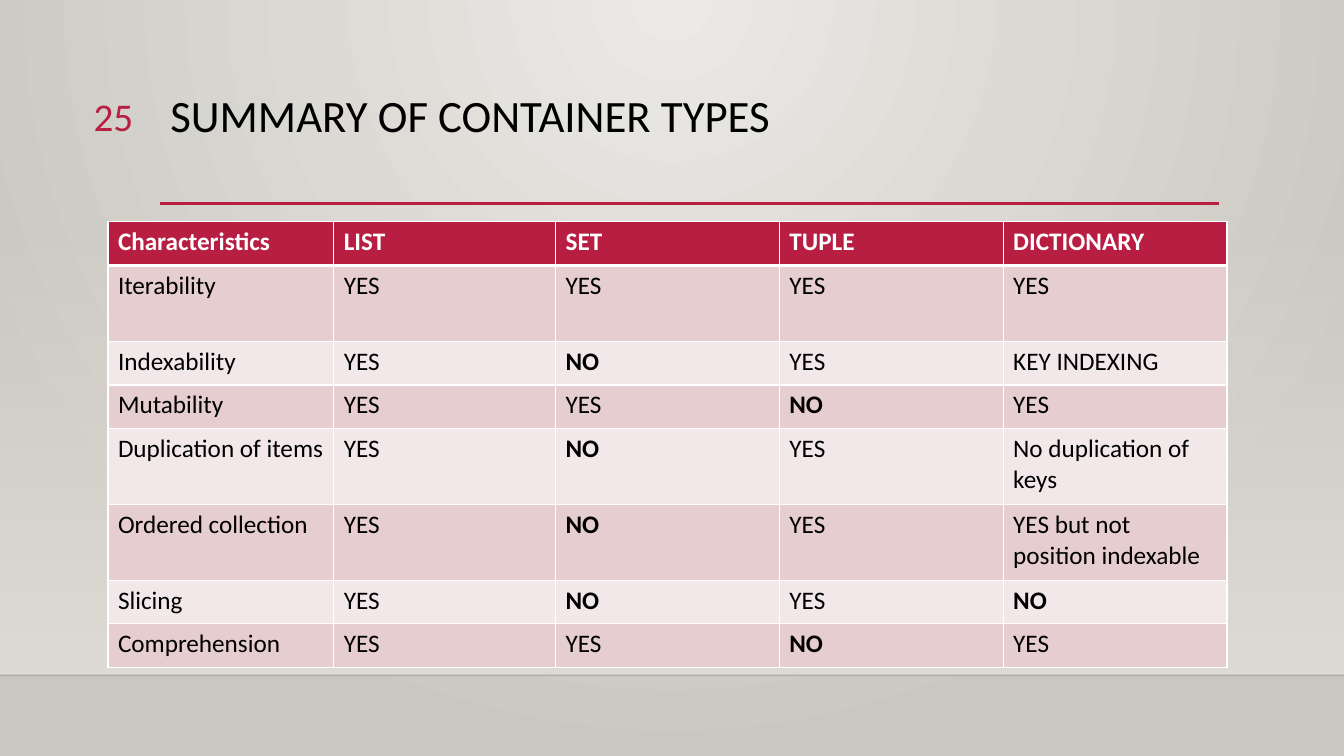
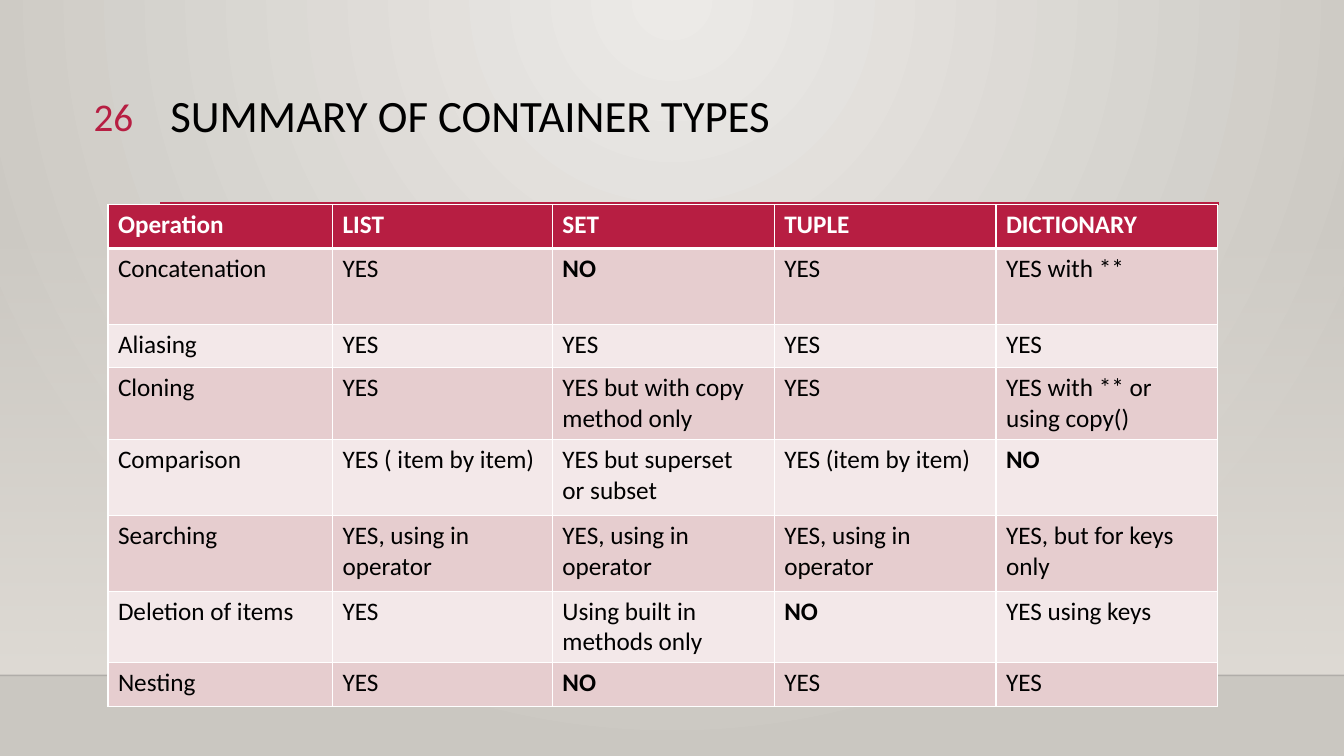
"""Builds two slides that sum up the container types in tables."""
import pptx
import pptx.util
import pptx.oxml
import pptx.oxml.ns
import pptx.dml.color
import pptx.enum.text
import pptx.enum.shapes
from dataclasses import dataclass

Cm, Pt = pptx.util.Cm, pptx.util.Pt
TEXT = pptx.enum.text
HEADS = ["LIST", "SET", "TUPLE", "DICTIONARY"]

SLIDES = [
    {
        "title": "SUMMARY OF CONTAINER TYPES", "number": 25,
        "top": 5.59, "widths": [5.69, 5.59, 5.64, 5.64, 5.64],
        "rows": [
            ["Characteristics", *HEADS],
            ["Iterability", "YES", "YES", "YES", "YES"],
            ["Indexability", "YES", "NO", "YES", "KEY INDEXING"],
            ["Mutability", "YES", "YES", "NO", "YES"],
            ["Duplication of items", "YES", "NO", "YES", "No duplication of keys"],
            ["Ordered collection", "YES", "NO", "YES", "YES but not position indexable"],
            ["Slicing", "YES", "NO", "YES", "NO"],
            ["Comprehension", "YES", "YES", "NO", "YES"],
        ],
    },
    {
        "title": "SUMMARY OF CONTAINER TYPES", "number": 26,
        "top": 5.16, "widths": [5.66, 5.54, 5.59, 5.59, 5.59],
        "rows": [
            ["Operation", *HEADS],
            ["Concatenation", "YES", "NO", "YES", "YES with **"],
            ["Aliasing", "YES", "YES", "YES", "YES"],
            ["Cloning", "YES", "YES but with copy method only", "YES",
             "YES with ** or using copy()"],
            ["Comparison", "YES ( item by item)", "YES but superset\nor subset",
             "YES (item by item)", "NO"],
            ["Searching", *["YES, using in operator"] * 3, "YES, but for keys only"],
            ["Deletion of items", "YES", "Using built in methods only", "NO",
             "YES using keys"],
            ["Nesting", "YES", "NO", "YES", "YES"],
        ],
    },
]


@dataclass(frozen=True)
class Theme:
    font: str = "Calibri"
    red: str = "B71E42"
    ink: str = "000000"
    white: str = "FFFFFF"
    edge: str = "000001"
    floor: str = "DFDBD5"
    glow: str = "ECEAE7"
    rim: str = "CAC7C1"
    bands: tuple = ("F3E8E9", "E6CDCF")
    title: int = 32
    number: int = 28
    cell: int = 18


LOOK = Theme()
WIDE, HIGH = Cm(33.87), Cm(19.05)
LEFT, TALL, LOW = Cm(2.72), Cm(1.91), Cm(1.1)
TALL_ROWS = {1, 4, 5}


def rgb(code):
    return pptx.dml.color.RGBColor.from_string(code)


def node(tag, body, attrs=""):
    space = pptx.oxml.ns.nsdecls("a")
    return pptx.oxml.parse_xml(f"<a:{tag} {space} {attrs}>{body}</a:{tag}>")


def apply(item, form):
    for name, value in form.items():
        setattr(item, name, value)


def style(part, size, color, bold=False):
    apply(part.font, {"name": LOOK.font, "size": Pt(size), "bold": bold})
    part.font.color.rgb = rgb(color)


def blend(fill, first, last, shade, clear=""):
    fill.gradient()
    old = fill._xPr.find(pptx.oxml.ns.qn("a:gradFill"))
    stops = (f'<a:gs pos="0"><a:srgbClr val="{first}">{clear}</a:srgbClr></a:gs>'
             f'<a:gs pos="100000"><a:srgbClr val="{last}"/></a:gs>')
    new = node("gradFill", f"<a:gsLst>{stops}</a:gsLst>{shade}", 'rotWithShape="1"')
    fill._xPr.replace(old, new)


def rule(slide, left, right, top, color, width):
    line = slide.shapes.add_connector(
        pptx.enum.shapes.MSO_CONNECTOR.STRAIGHT, left, top, right, top)
    line.line.color.rgb = rgb(color)
    line.line.width = Pt(width)
    line._element.spPr.append(node("effectLst", ""))
    return line


def dress(layout, slide):
    blend(layout.background.fill, LOOK.glow, LOOK.rim,
          '<a:path path="circle">'
          '<a:fillToRect l="43000" t="0" r="43000" b="100000"/></a:path>')
    floor = Cm(17.02)
    band = slide.shapes.add_shape(
        pptx.enum.shapes.MSO_SHAPE.RECTANGLE, 0, Cm(5.61), WIDE, floor - Cm(5.61))
    band.shadow.inherit = False
    band.line.fill.background()
    blend(band.fill, LOOK.floor, LOOK.floor, '<a:lin ang="5400000" scaled="0"/>',
          '<a:alpha val="0"/>')
    edge = rule(slide, 0, WIDE, floor, LOOK.edge, 1)
    tint = edge._element.xpath(".//a:ln//a:srgbClr")[0]
    tint.append(node("alpha", "", 'val="20000"'))
    bar = rule(slide, Cm(4.04), Cm(30.73), Cm(5.13), LOOK.red, 2.5)
    for pos, shape in enumerate((band, edge, bar)):
        shape._element.xpath(".//p:cNvPr")[0].set("id", str(50 + pos))
        layout.shapes._spTree.insert(2 + pos, shape._element)
    apply(layout.placeholders[0], {
        "left": Cm(4.04), "top": Cm(2.24), "width": Cm(26.67), "height": Cm(2.92)})


def label(shape, text, size, color, align, gap):
    frame = shape.text_frame
    frame.text = text
    apply(frame, {"word_wrap": True, "auto_size": TEXT.MSO_AUTO_SIZE.NONE,
                  "vertical_anchor": TEXT.MSO_ANCHOR.TOP})
    para = frame.paragraphs[0]
    apply(para, {"alignment": align, "line_spacing": gap})
    style(para.runs[0], size, color)


def frame_cell(cell, row):
    weights = {"L": 1, "R": 1, "T": 3 if row == 1 else 1, "B": 1 if row else 3}
    props = cell._tc.get_or_add_tcPr()
    paint = f'<a:solidFill><a:srgbClr val="{LOOK.white}"/></a:solidFill>'
    for pos, (side, weight) in enumerate(weights.items()):
        props.insert(pos, node(f"ln{side}", paint, f'w="{Pt(weight)}"'))


def fill_cell(cell, text, row):
    cell.text = text
    head = row == 0
    cell.fill.solid()
    cell.fill.fore_color.rgb = rgb(LOOK.red if head else LOOK.bands[row % 2])
    for para in cell.text_frame.paragraphs:
        style(para.runs[0], LOOK.cell, LOOK.white if head else LOOK.ink,
              head or text == "NO")
    frame_cell(cell, row)


def add_grid(slide, rows, widths, top):
    highs = [TALL if row in TALL_ROWS else LOW for row in range(len(rows))]
    wides = [Cm(width) for width in widths]
    grid = slide.shapes.add_table(
        len(rows), len(wides), LEFT, Cm(top), sum(wides), sum(highs)).table
    for col, wide in zip(grid.columns, wides):
        col.width = wide
    for row, high in enumerate(highs):
        grid.rows[row].height = high
        for col, text in enumerate(rows[row]):
            fill_cell(grid.cell(row, col), text, row)


def main():
    deck = pptx.Presentation()
    apply(deck, {"slide_width": WIDE, "slide_height": HIGH})
    layout = deck.slide_layouts[5]
    for pos, data in enumerate(SLIDES):
        slide = deck.slides.add_slide(layout)
        if pos == 0:
            dress(layout, slide)
        label(slide.shapes.title, data["title"], LOOK.title, LOOK.ink,
              TEXT.PP_ALIGN.LEFT, 0.9)
        add_grid(slide, data["rows"], data["widths"], data["top"])
        box = slide.shapes.add_textbox(Cm(1.35), Cm(2.21), Cm(2.26), Cm(1.4))
        label(box, str(data["number"]), LOOK.number, LOOK.red,
              TEXT.PP_ALIGN.RIGHT, 1.0)
    deck.save("out.pptx")


if __name__ == "__main__":
    main()
